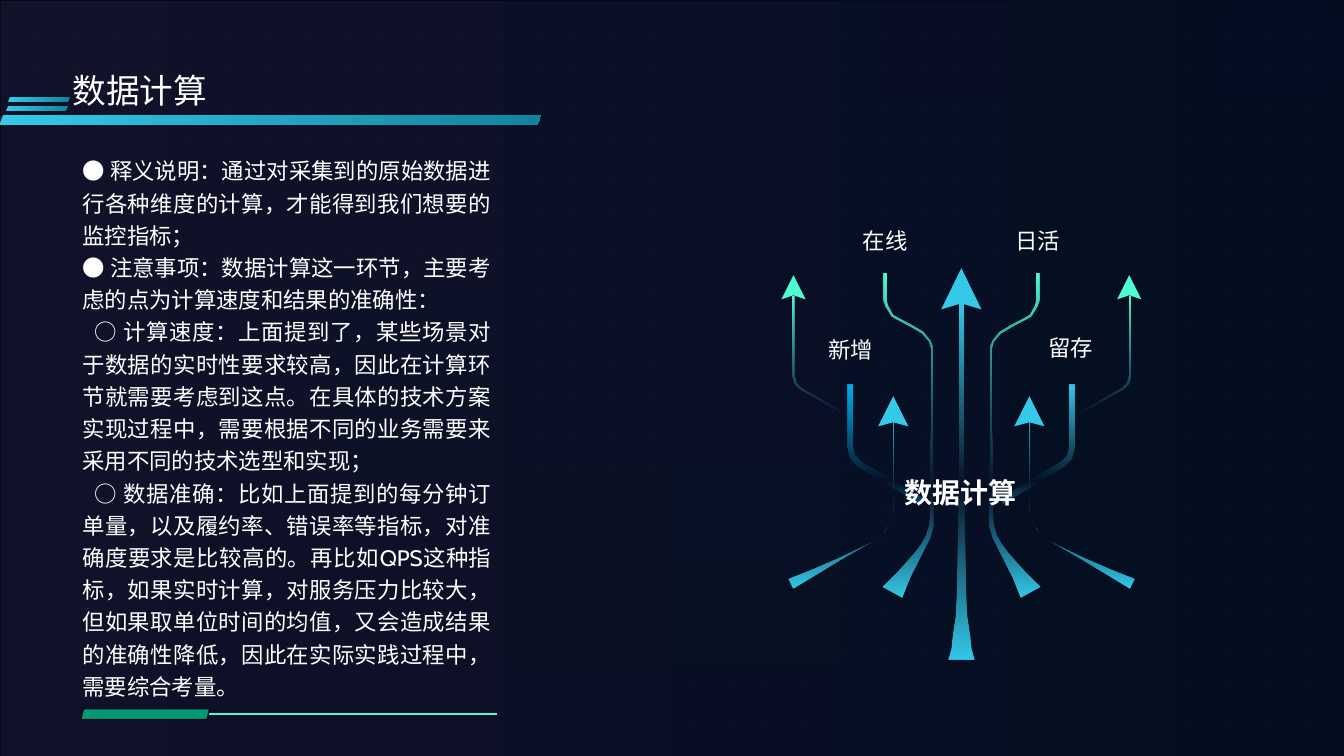
import pptx
import pptx.dml.color
import pptx.enum.shapes
import pptx.enum.text
import pptx.oxml
import pptx.oxml.ns
import pptx.util
from lxml import etree

Inches = pptx.util.Inches
RGB = pptx.dml.color.RGBColor
SHAPE = pptx.enum.shapes.MSO_SHAPE
ALIGN = pptx.enum.text.PP_ALIGN
qn = pptx.oxml.ns.qn

WHITE = RGB(0xFF, 0xFF, 0xFF)
PURPLE = RGB(0x13, 0x13, 0x2B)
NAVY = RGB(0x04, 0x0F, 0x22)
EDGE = RGB(0x03, 0x0B, 0x19)
CYAN = RGB(0x35, 0xC9, 0xE9)
TEAL = RGB(0x11, 0x84, 0x9D)
MINT = RGB(0x4F, 0xFB, 0xD1)
GREEN = RGB(0x04, 0x99, 0x75)
BLUE = RGB(0x00, 0xB0, 0xF0)

CABIN, CJK_JP, CJK_SC = "Cabin", "Noto Sans CJK JP", "Noto Sans CJK SC"

BODY = [
    ("●", 0, "释义说明：通过对采集到的原始数据进行各种维度的计算，才能得到我们想要的监控指标；"),
    ("●", 0, "注意事项：数据计算这一环节，主要考虑的点为计算速度和结果的准确性："),
    ("○", 0.12, "计算速度：上面提到了，某些场景对于数据的实时性要求较高，因此在计算环节就需要考虑到这点。"
                "在具体的技术方案实现过程中，需要根据不同的业务需要来采用不同的技术选型和实现；"),
    ("○", 0.12, "数据准确：比如上面提到的每分钟订单量，以及履约率、错误率等指标，对准确度要求是比较高的。"
                "再比如QPS这种指标，如果实时计算，对服务压力比较大，但如果取单位时间的均值，"
                "又会造成结果的准确性降低，因此在实际实践过程中，需要综合考量。"),
]

# Outlines of the left half of the diagram, in inches from the corner of its box.
OUTER_ROOT = [
    (0.82, 3.74), (1.07, 3.64), (1.32, 3.53), (1.57, 3.41), (1.69, 3.35), (1.74, 3.3),
    (1.78, 3.25), (1.82, 3.19), (1.84, 3.13), (1.85, 3.06), (1.85, 2.17), (1.86, 2.17),
    (1.86, 3.06), (1.84, 3.13), (1.79, 3.25), (1.69, 3.35), (1.57, 3.42), (1.33, 3.56),
    (1.1, 3.7), (0.87, 3.84)]
INNER_BRANCH = [
    (1.8, 0.71), (1.8, 0.98), (1.81, 1.03), (1.86, 1.12), (1.91, 1.15), (2.06, 1.23),
    (2.16, 1.29), (2.23, 1.38), (2.25, 1.43), (2.25, 2.46), (2.26, 2.68), (2.26, 3.22),
    (2.23, 3.33), (2.18, 3.43), (2.13, 3.53), (2.03, 3.73), (1.95, 3.93), (1.75, 3.82),
    (1.83, 3.74), (1.91, 3.66), (2.06, 3.49), (2.13, 3.4), (2.18, 3.31), (2.21, 3.21),
    (2.22, 3.11), (2.22, 2.46), (2.23, 2.24), (2.23, 1.46), (2.21, 1.39), (2.14, 1.31),
    (2.04, 1.25), (1.89, 1.17), (1.84, 1.14), (1.78, 1.04), (1.76, 0.98), (1.76, 0.71)]
ELBOW = [
    (2.12, 3), (1.52, 2.64), (1.44, 2.56), (1.41, 2.44), (1.41, 1.82), (1.47, 1.82),
    (1.47, 2.44), (1.49, 2.52), (1.55, 2.58), (2.15, 2.94)]
OUTER_BRANCH = [
    (1.42, 2.13), (0.94, 1.86), (0.88, 1.8), (0.86, 1.72), (0.86, 0.94), (0.88, 0.94),
    (0.88, 1.72), (0.9, 1.79), (0.95, 1.84), (1.43, 2.12)]
TRUNK = [
    (2.51, 1.01), (2.51, 2.77), (2.49, 3.88), (2.48, 4.1), (2.45, 4.32), (2.44, 4.43),
    (2.41, 4.54)]

ROOT_STOPS = [(0, CYAN, 100), (44, CYAN, 0), (100, CYAN, 100)]
BRANCH_STOPS = [(0, MINT, 100), (67, CYAN, 0), (100, CYAN, 100)]
OUTER_STOPS = [(0, MINT, 100), (100, CYAN, 0)]
TRUNK_STOPS = [(0, CYAN, 100), (51, CYAN, 0), (100, CYAN, 100)]
BAR_STOPS = [(0, CYAN, 100), (100, TEAL, 100)]


def elbow_stops(color):
    return [(0, color, 100), (81, color, 0), (100, color, 38)]


def paint_gradient(fill, owner, stops, angle):
    """Fill with (percent, colour, opacity) stops; the angle runs clockwise."""
    fill.gradient()
    fill.gradient_angle = -angle % 360
    stop_list = next(owner.iter(qn("a:gsLst")))
    for old in list(stop_list):
        stop_list.remove(old)
    for percent, color, opacity in stops:
        gs = etree.SubElement(stop_list, qn("a:gs"), pos=str(percent * 1000))
        clr = etree.SubElement(gs, qn("a:srgbClr"), val=str(color))
        if opacity < 100:
            etree.SubElement(clr, qn("a:alpha"), val=str(opacity * 1000))


def style(sp, paint, angle=0, line=None):
    """Paint with one colour or a list of gradient stops."""
    sp.shadow.inherit = False
    if isinstance(paint, list):
        paint_gradient(sp.fill, sp._element, paint, angle)
    else:
        sp.fill.solid()
        sp.fill.fore_color.rgb = paint
    if line is None:
        sp.line.fill.background()
    else:
        sp.line.color.rgb = line
        sp.line.width = pptx.util.Pt(1)


def add_preset(s, kind, x, y, w, h, paint, adj=None, line=None):
    sp = s.shapes.add_shape(kind, Inches(x), Inches(y), Inches(w), Inches(h))
    if adj is not None:
        sp.adjustments[0] = adj
    style(sp, paint, line=line)


def add_outline(s, x, y, points, paint):
    corners = [(Inches(x + px), Inches(y + py)) for px, py in points]
    builder = s.shapes.build_freeform(*corners[0], scale=1.0)
    builder.add_line_segments(corners[1:], close=True)
    style(builder.convert_to_shape(), paint, angle=90)


def add_run(p, text, size, font, bold=False):
    r = p.add_run()
    r.text = text
    r.font.size = pptx.util.Pt(size)
    r.font.name = font
    r.font.bold = bold
    r.font.color.rgb = WHITE
    r.font._element.find(qn("a:latin")).addnext(
        pptx.oxml.parse_xml(f'<a:ea {pptx.oxml.ns.nsdecls("a")} typeface="{font}"/>'))


def add_text_frame(s, x, y, w, h):
    tf = s.shapes.add_textbox(Inches(x), Inches(y), Inches(w), Inches(h)).text_frame
    tf.word_wrap = True
    tf.auto_size = pptx.enum.text.MSO_AUTO_SIZE.SHAPE_TO_FIT_TEXT
    return tf


def add_label(s, x, y, w, h, text, size=16, font=CABIN, bold=False):
    p = add_text_frame(s, x, y, w, h).paragraphs[0]
    p.alignment = ALIGN.CENTER
    add_run(p, text, size, font, bold)


def add_backdrop(s, w, h):
    paint_gradient(s.background.fill, s._element, [(0, PURPLE, 100), (100, NAVY, 100)], 90)
    add_preset(s, SHAPE.RECTANGLE, 0, 0, w, h,
               [(0, PURPLE, 96), (100, NAVY, 90)], line=EDGE)


def add_heading(s, x, y, w, h, text):
    for dx, dy, bar_w, bar_h in [(-0.01, 0.44, w, 0.1), (0.06, 0.35, 0.61, 0.05),
                                 (0.08, 0.26, 0.61, 0.05)]:
        add_preset(s, SHAPE.PARALLELOGRAM, x + dx, y + dy, bar_w, bar_h, BAR_STOPS, 0.427)
    title = s.shapes.title
    s.shapes._spTree.append(title._element)
    title.left, title.top = Inches(x + 0.72), Inches(y)
    title.width, title.height = Inches(w - 0.73), Inches(h)
    tf = title.text_frame
    tf.margin_left = tf.margin_right = 0
    tf.margin_top = tf.margin_bottom = Inches(0.05)
    tf.vertical_anchor = pptx.enum.text.MSO_ANCHOR.MIDDLE
    p = tf.paragraphs[0]
    p.alignment = ALIGN.LEFT
    p.line_spacing = 0.9
    add_run(p, text, 24, CJK_JP)


def add_body(s, x, y, w, h):
    tf = add_text_frame(s, x, y, w, h)
    for i, (bullet, indent, text) in enumerate(BODY):
        p = tf.paragraphs[0] if i == 0 else tf.add_paragraph()
        p.alignment = ALIGN.JUSTIFY
        p.line_spacing = 1.2
        if indent:
            p._p.get_or_add_pPr().set("indent", str(Inches(indent)))
        add_run(p, bullet + " ", 16, CJK_SC)
        add_run(p, text, 16, CABIN)


def add_footer_rule(s, x, y, w, h):
    middle = Inches(y + h / 2)
    rule = s.shapes.add_connector(pptx.enum.shapes.MSO_CONNECTOR.STRAIGHT,
                                  Inches(x + 1.14), middle, Inches(x + w), middle)
    rule.line.color.rgb = MINT
    rule.line.width = pptx.util.Pt(1)
    etree.SubElement(rule._element.spPr, qn("a:effectLst"))
    add_preset(s, SHAPE.PARALLELOGRAM, x, y, 1.28, h, GREEN, line=EDGE)


def add_arrow_diagram(s, x, y, w):
    """Draw branches mirrored about the middle of the width, with labels on top."""
    def mirror(points):
        return [(w - px, py) for px, py in points]

    def arrowhead(tip_x, tip_y, half, height, notch, color):
        add_outline(s, x, y, [(tip_x, tip_y), (tip_x - half, tip_y + height),
                              (tip_x, tip_y + notch), (tip_x + half, tip_y + height)], color)

    for flip, elbow_color in [(list, BLUE), (mirror, CYAN)]:
        for points, stops in [(OUTER_ROOT, ROOT_STOPS), (INNER_BRANCH, BRANCH_STOPS),
                              (ELBOW, elbow_stops(elbow_color)), (OUTER_BRANCH, OUTER_STOPS)]:
            add_outline(s, x, y, flip(points), stops)
    add_outline(s, x, y, TRUNK + mirror(TRUNK)[::-1], TRUNK_STOPS)

    for dx, dy, label_w, text in [(1.45, 0.2, 0.66, "在线"), (1.11, 1.29, 0.66, "新增"),
                                  (2.96, 0.2, 0.66, "日活"), (3.19, 1.27, 0.86, "留存")]:
        add_label(s, x + dx, y + dy, label_w, 0.37, text)
    add_label(s, x + 1.54, y + 2.67, 1.98, 0.44, "数据计算", 20, CJK_JP, True)

    for tip_x in (0.87, w - 0.87):
        arrowhead(tip_x, 0.73, 0.12, 0.24, 0.2, MINT)
    arrowhead(w / 2, 0.66, 0.2, 0.41, 0.35, CYAN)
    for tip_x in (1.86, w - 1.86):
        arrowhead(tip_x, 1.93, 0.15, 0.3, 0.26, CYAN)


def main():
    prs = pptx.Presentation()
    prs.slide_width, prs.slide_height = Inches(13.33), Inches(7.5)
    s = prs.slides.add_slide(prs.slide_layouts[5])
    add_backdrop(s, 13.33, 7.52)
    add_heading(s, 0, 0.7, 5.38, 0.43, "数据计算")
    add_body(s, 0.72, 1.46, 4.25, 5.58)
    add_footer_rule(s, 0.8, 7.03, 4.13, 0.11)
    add_arrow_diagram(s, 7, 2, 5.07)
    prs.save("out.pptx")


if __name__ == "__main__":
    main()
